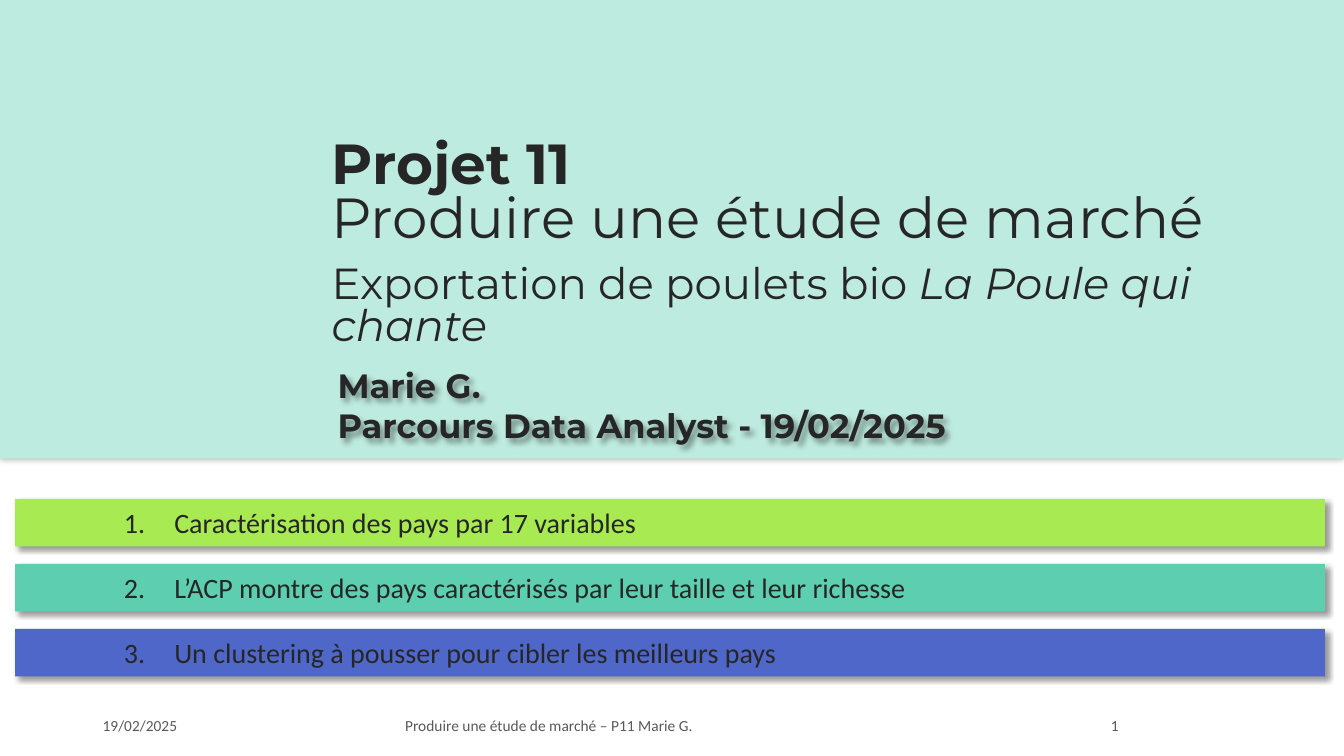
from dataclasses import dataclass

from lxml.etree import SubElement
from pptx import Presentation
from pptx.dml.color import RGBColor
from pptx.enum.shapes import MSO_SHAPE
from pptx.enum.text import MSO_ANCHOR, MSO_AUTO_SIZE, PP_ALIGN
from pptx.oxml.ns import qn
from pptx.util import Inches, Pt

FOOTER = "19/02/2025\tProduire une étude de marché – P11 Marie G.\t1"
AUTHOR = ["Marie G.", "Parcours Data Analyst - 19/02/2025"]
AGENDA = [
    ("Caractérisation des pays par 17 variables", "A7EA52"),
    ("L’ACP montre des pays caractérisés par leur taille et leur richesse", "5DCEAF"),
    ("Un clustering à pousser pour cibler les meilleurs pays", "4E67C8"),
]


@dataclass(frozen=True)
class Theme:
    heading_font: str = "Montserrat"
    body_font: str = "Calibri"
    ink: str = "262626"
    muted: str = "595959"
    panel: str = "BEEBDF"
    shadow: str = "000000"
    title_size: float = 40.3
    subtitle_size: float = 31
    author_size: float = 24
    agenda_size: float = 20
    footer_size: float = 11


THEME = Theme()
# Each paragraph: its format values, then its runs as (text, font values)
TITLE = [
    ({"line_spacing": 2.0}, [("Projet 11", {"size": Pt(THEME.title_size), "bold": True})]),
    ({"line_spacing": 0.8, "space_after": Pt(12)},
     [("Produire une étude de marché", {"size": Pt(THEME.title_size), "bold": False})]),
    ({"line_spacing": 0.8, "space_after": Pt(12)},
     [("Exportation de poulets bio ", {"size": Pt(THEME.subtitle_size), "bold": False}),
      ("La Poule qui chante",
       {"size": Pt(THEME.subtitle_size), "bold": False, "italic": True})]),
]


def box(left, top, width, height):
    return [Inches(value) for value in (left, top, width, height)]


def set_values(target, values):
    for name, value in values.items():
        setattr(target, name, value)


def add_run(paragraph, text, color=THEME.ink, **font_values):
    run = paragraph.add_run()
    run.text = text
    set_values(run.font, font_values)
    run.font.color.rgb = RGBColor.from_string(color)


def set_indent(paragraph, inches):
    properties = paragraph._p.get_or_add_pPr()
    properties.set("marL", str(Inches(inches)))
    properties.set("indent", "0")


def set_tabs(paragraph, stops):
    tabs = SubElement(paragraph._p.get_or_add_pPr(), qn("a:tabLst"))
    for stop in stops:
        SubElement(tabs, qn("a:tab"), pos=str(Inches(stop)), algn="l")


def cast_shadow(shape, blur, distance, angle):
    """Give the shape a soft shadow; blur and distance in points, angle in degrees."""
    shape.shadow.inherit = False
    effects = shape.element.spPr.find(qn("a:effectLst"))
    shadow = SubElement(effects, qn("a:outerShdw"), blurRad=str(Pt(blur)),
                        dist=str(Pt(distance)), dir=str(angle * 60000),
                        algn="ctr", rotWithShape="0")
    color = SubElement(shadow, qn("a:srgbClr"), val=THEME.shadow)
    SubElement(color, qn("a:alpha"), val="40000")


def add_bar(slide, place, fill):
    bar = slide.shapes.add_shape(MSO_SHAPE.RECTANGLE, *place)
    bar.fill.solid()
    bar.fill.fore_color.rgb = RGBColor.from_string(fill)
    bar.line.fill.background()
    return bar


def format_frame(frame, anchor, **values):
    set_values(frame, {"word_wrap": True, "auto_size": MSO_AUTO_SIZE.NONE,
                       "vertical_anchor": anchor, **values})


def next_paragraph(frame, index):
    return frame.add_paragraph() if index else frame.paragraphs[0]


def add_footer(slide):
    footer = slide.shapes.add_textbox(*box(0.92, 7.05, 11.5, 0.3))
    format_frame(footer.text_frame, MSO_ANCHOR.MIDDLE)
    paragraph = footer.text_frame.paragraphs[0]
    add_run(paragraph, FOOTER, THEME.muted, name=THEME.body_font,
            size=Pt(THEME.footer_size))
    set_tabs(paragraph, [3, 10])


def add_title(slide, margins):
    title = slide.shapes.title
    title.element.getparent().append(title.element)  # in front of the panel
    title.left, title.top, title.width, title.height = box(2.5, 0.32, 9.97, 3.25)
    format_frame(title.text_frame, MSO_ANCHOR.BOTTOM, **margins)
    for index, (paragraph_values, runs) in enumerate(TITLE):
        paragraph = next_paragraph(title.text_frame, index)
        set_values(paragraph, {"alignment": PP_ALIGN.LEFT, "space_before": Pt(0),
                               **paragraph_values})
        set_indent(paragraph, 0.69)
        for text, font_values in runs:
            add_run(paragraph, text, name=THEME.heading_font, **font_values)


def add_author(slide, margins):
    author = slide.shapes.add_textbox(*box(3.25, 3.52, 8.19, 1.06))
    format_frame(author.text_frame, MSO_ANCHOR.TOP, **margins)
    cast_shadow(author, 4, 3, 45)
    for index, line in enumerate(AUTHOR):
        add_run(next_paragraph(author.text_frame, index), line,
                name=THEME.heading_font, size=Pt(THEME.author_size), bold=True)


def add_agenda(slide):
    first_top, pitch = 4.95, 0.645
    for index, (text, fill) in enumerate(AGENDA):
        bar = add_bar(slide, box(0.15, first_top + index * pitch, 12.99, 0.47), fill)
        cast_shadow(bar, 4, 3, 45)
        format_frame(bar.text_frame, MSO_ANCHOR.MIDDLE)
        paragraph = bar.text_frame.paragraphs[0]
        paragraph.alignment = PP_ALIGN.LEFT
        set_indent(paragraph, 0.98)
        set_tabs(paragraph, [0.4])
        add_run(paragraph, f"{index + 1}.\t{text}", name=THEME.body_font,
                size=Pt(THEME.agenda_size))


def main():
    presentation = Presentation()
    presentation.slide_width, presentation.slide_height = Inches(13.33), Inches(7.5)
    slide = presentation.slides.add_slide(presentation.slide_layouts[5])
    margins = {f"margin_{side}": Inches(0.1) for side in ("left", "top", "right", "bottom")}
    add_footer(slide)
    panel = add_bar(slide, box(0, 0, 13.33, 4.55), THEME.panel)
    cast_shadow(panel, 5, 0, 0)
    add_title(slide, margins)
    add_author(slide, margins)
    add_agenda(slide)
    presentation.save("out.pptx")


if __name__ == "__main__":
    main()
